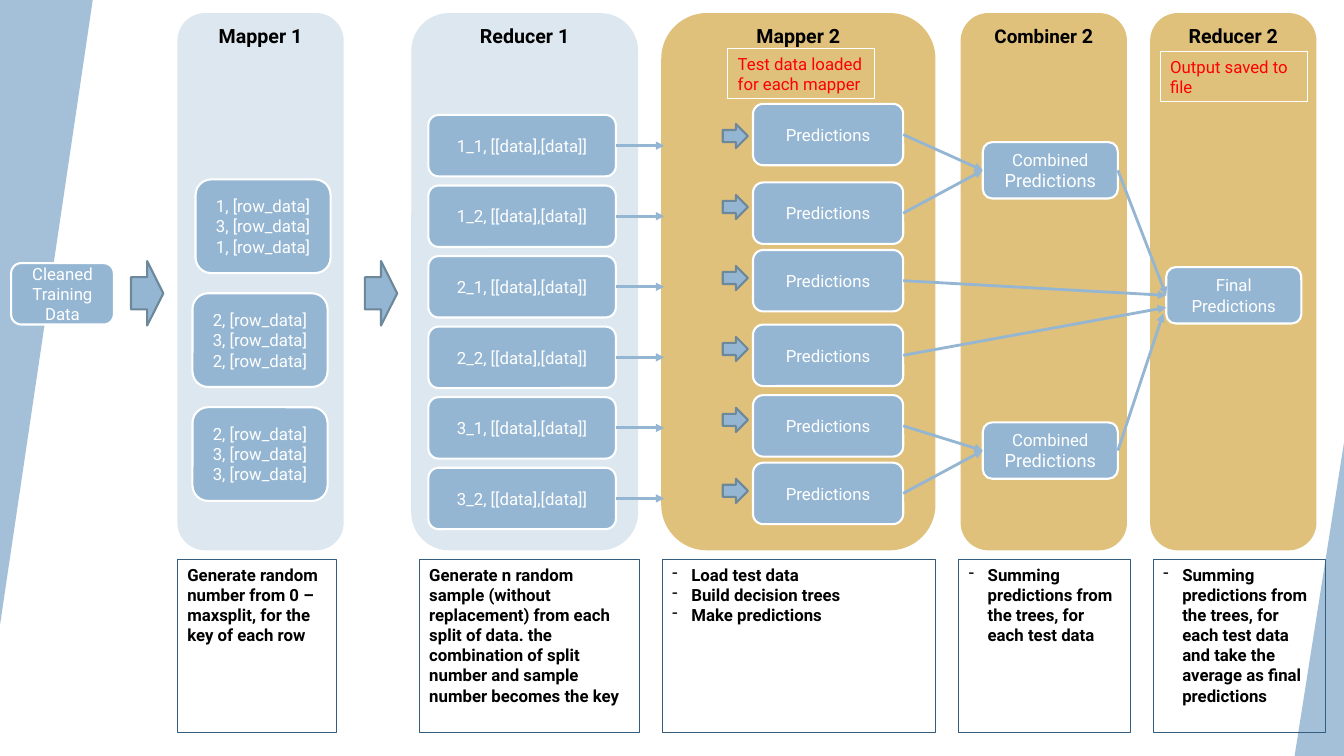
from dataclasses import dataclass

from lxml import etree
from pptx import Presentation
from pptx.dml.color import RGBColor
from pptx.enum.shapes import MSO_CONNECTOR, MSO_SHAPE
from pptx.enum.text import MSO_ANCHOR, PP_ALIGN
from pptx.oxml.ns import qn
from pptx.util import Inches, Pt

RECTANGLE = MSO_SHAPE.RECTANGLE
ROUNDED = MSO_SHAPE.ROUNDED_RECTANGLE
TRIANGLE = MSO_SHAPE.ISOSCELES_TRIANGLE
RIGHT_ARROW = MSO_SHAPE.RIGHT_ARROW
STRAIGHT = MSO_CONNECTOR.STRAIGHT
LEFT, CENTER = PP_ALIGN.LEFT, PP_ALIGN.CENTER
TOP, MIDDLE = MSO_ANCHOR.TOP, MSO_ANCHOR.MIDDLE
LEFT_SIDE, RIGHT_SIDE = 1, 3

CELL = 0.1
COLUMNS, ROWS = 133.33, 75
BLUE, PALE_BLUE, GOLD = "94B6D2", "D4E2ED", "D8B25C"
NAVY, SLATE = "355D7E", "6D879B"
WHITE, BLACK, RED = "FFFFFF", "000000", "FF0000"


@dataclass
class Box:
    left: float
    top: float
    width: float
    height: float

    def inner(self, left, top, width, height):
        return Box(self.left + left, self.top + top, width, height)


def cells(count):
    return Inches(count * CELL)


def color(value):
    return RGBColor.from_string(value)


def add_block(slide, kind, box, fill=None, alpha=None, line=None, weight=1.5):
    shape = slide.shapes.add_shape(kind, cells(box.left), cells(box.top), cells(box.width), cells(box.height))
    shape.shadow.inherit = False
    if fill:
        shape.fill.solid()
        shape.fill.fore_color.rgb = color(fill)
    else:
        shape.fill.background()
    if alpha:
        tint = shape.fill._xPr.find(qn("a:solidFill"))[0]
        etree.SubElement(tint, qn("a:alpha")).set("val", str(alpha * 1000))
    if line:
        shape.line.color.rgb = color(line)
        shape.line.width = Pt(weight)
    else:
        shape.line.fill.background()
    return shape


def write(shape, paragraphs, ink, align=LEFT, anchor=TOP, bold=False, bullets=False):
    frame = shape.text_frame
    frame.word_wrap = True
    frame.vertical_anchor = anchor
    for index, runs in enumerate(paragraphs):
        paragraph = frame.add_paragraph() if index else frame.paragraphs[0]
        paragraph.alignment = align
        if bullets:
            properties = paragraph._p.get_or_add_pPr()
            properties.set("marL", str(cells(1.9)))
            properties.set("indent", str(-cells(1.9)))
            etree.SubElement(properties, qn("a:buChar")).set("char", "-")
        for text, size in runs:
            run = paragraph.add_run()
            run.text = text
            run.font.name = "Roboto"
            run.font.size = Pt(size)
            run.font.bold = bold
            run.font.color.rgb = color(ink)


def add_item(slide, box, *paragraphs):
    shape = add_block(slide, ROUNDED, box, BLUE, line=WHITE)
    write(shape, paragraphs, WHITE, CENTER, MIDDLE)
    return shape


def add_arrow(slide, box):
    add_block(slide, RIGHT_ARROW, box, BLUE, line=SLATE)


def add_remark(slide, box, text):
    shape = add_block(slide, RECTANGLE, box, line=WHITE, weight=0.75)
    write(shape, [[(text, 12)]], RED)


def add_link(slide, source, target=None, end=None):
    end_x, end_y = end or (0, 0)
    connector = slide.shapes.add_connector(STRAIGHT, 0, 0, cells(end_x), cells(end_y))
    connector.begin_connect(source, RIGHT_SIDE)
    if target:
        connector.end_connect(target, LEFT_SIDE)
    connector.line.color.rgb = color(BLUE)
    connector.line.width = Pt(2)
    etree.SubElement(connector.line._get_or_add_ln(), qn("a:tailEnd")).set("type", "triangle")
    etree.SubElement(connector._element.spPr, qn("a:effectLst"))


def add_corners(slide):
    left = add_block(slide, TRIANGLE, Box(0, 0, 9.2, 62), BLUE, 85)
    left.rotation = 180
    right = add_block(slide, TRIANGLE, Box(COLUMNS - 4.9, ROWS - 31.1, 4.9, 31.1), BLUE, 85)
    for triangle in (left, right):
        triangle.adjustments[0] = 1


def add_stage(slide, box, fill, title, note_left, note_width, notes, bullets):
    add_block(slide, ROUNDED, box, fill, 80)
    title_box = box.inner((box.width - 13.4) / 2, 0.6, 13.4, 3.4)
    heading = slide.shapes.add_textbox(
        cells(title_box.left), cells(title_box.top), cells(title_box.width), cells(title_box.height))
    write(heading, [title], BLACK, CENTER, bold=True)
    note = add_block(slide, RECTANGLE, box.inner(note_left, 54.2, note_width, 17.2), line=NAVY, weight=0.75)
    write(note, [[(text, 12)] for text in notes], BLACK, bold=True, bullets=bullets)


def add_input(slide, box):
    add_item(slide, box.inner(0, 0.2, 10.2, 6.1), [("Cleaned Training Data", 12)])
    for left in (11.9, 35.1):
        add_arrow(slide, box.inner(left, 0, 3.2, 6.4))


def fill_first_mapper(slide, box):
    groups = ((1.8, "131"), (1.5, "232"), (1.5, "233"))
    for row, (left, keys) in enumerate(groups):
        lines = [[(f"{key}, [row_data]", 12)] for key in keys]
        add_item(slide, box.inner(left, 16.5 + row * 11.3, 13.4, 9.3), *lines)


def fill_first_reducer(slide, box):
    keys = [f"{split}_{sample}" for split in (1, 2, 3) for sample in (1, 2)]
    for row, key in enumerate(keys):
        item_box = box.inner(1.7, 10.1 + row * 7, 18.6, 6.1)
        item = add_item(slide, item_box, [(f"{key}, [[data],[data]]", 12)])
        add_link(slide, item, end=(box.left + 25.1, item_box.top + item_box.height / 2))


def fill_second_mapper(slide, box):
    add_remark(slide, box.inner(6.6, 3.5, 14.6, 5), "Test data loaded for each mapper")
    predictions = []
    for row, top in enumerate((9, 16.8, 23.5, 30.9, 37.9, 44.6)):
        add_arrow(slide, box.inner(6.1, 11 + row * 7.04, 2.5, 2.4))
        predictions.append(add_item(slide, box.inner(9.1, top, 14.9, 6.1), [("Predictions", 12)]))
    return predictions


def fill_combiner(slide, box):
    label = [("Combined ", 12), ("Predictions", 13)]
    return [add_item(slide, box.inner(2.2, top, 13.4, 5.6), label) for top in (12.8, 40.6)]


def fill_second_reducer(slide, box):
    add_remark(slide, box.inner(1, 3.8, 14.6, 5), "Output saved to file")
    return add_item(slide, box.inner(1.6, 25.2, 13.4, 5.6), [("Final Predictions", 12)])


def link_predictions(slide, predictions, combined, final, final_box):
    for index, target in ((0, 0), (1, 0), (4, 1), (5, 1)):
        add_link(slide, predictions[index], combined[target])
    for source in (predictions[2], combined[0]):
        add_link(slide, source, final)
    add_link(slide, predictions[3], end=(final_box.left + 1.6, final_box.top + 29.2))
    add_link(slide, combined[1], end=(final_box.left + 1.3, final_box.top + 29.8))


def main():
    presentation = Presentation()
    presentation.slide_width = cells(COLUMNS)
    presentation.slide_height = cells(ROWS)
    slide = presentation.slides.add_slide(presentation.slide_layouts[6])
    add_corners(slide)
    mapper_one, reducer_one, mapper_two, combiner, reducer_two = boxes = [
        Box(left, 1.3, width, 53.3)
        for left, width in ((17.6, 16.5), (40.8, 22.5), (65.6, 27.2), (95.3, 16.5), (114.1, 16.5))
    ]
    stages = (
        (PALE_BLUE, [("Mapper 1", 14)], 0, 15.8,
         ["Generate random number from 0 – maxsplit, for the key of each row"], False),
        (PALE_BLUE, [("Reducer 1", 14)], 0.8, 21.8,
         ["Generate n random sample (without replacement) from each split of data. "
          "the combination of split number and sample number becomes the key"], False),
        (GOLD, [("Mapper 2", 14)], 0.1, 27.1,
         ["Load test data", "Build decision trees", "Make predictions"], True),
        (GOLD, [("Combiner", 13.5), (" 2", 14)], -0.2, 17.1,
         ["Summing predictions from the trees, for each test data"], True),
        (GOLD, [("Reducer 2", 14)], 0.3, 17.1,
         ["Summing predictions from the trees, for each test data "
          "and take the average as final predictions"], True),
    )
    for box, stage in zip(boxes, stages):
        add_stage(slide, box, *stage)
    add_input(slide, Box(1.1, 25.9, 38.3, 6.4))
    fill_first_mapper(slide, mapper_one)
    fill_first_reducer(slide, reducer_one)
    predictions = fill_second_mapper(slide, mapper_two)
    combined = fill_combiner(slide, combiner)
    final = fill_second_reducer(slide, reducer_two)
    link_predictions(slide, predictions, combined, final, reducer_two)
    presentation.save("out.pptx")


if __name__ == "__main__":
    main()
